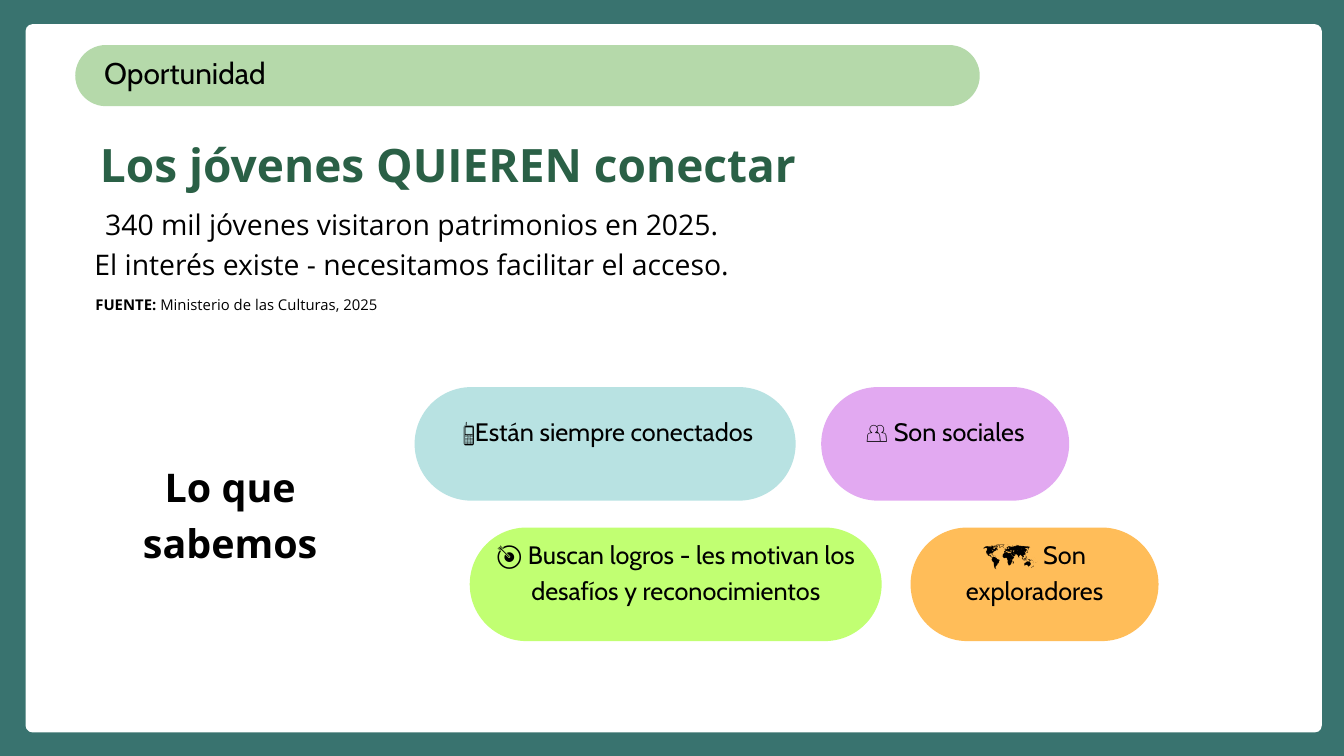
from pptx import Presentation
from pptx.dml.color import RGBColor
from pptx.enum import shapes, text
from pptx.util import Inches, Pt

TEAL = RGBColor(0x39, 0x73, 0x6F)
WHITE = RGBColor(0xFF, 0xFF, 0xFF)
BLACK = RGBColor(0, 0, 0)
SAGE = RGBColor(0xB5, 0xD9, 0xAA)
FOREST = RGBColor(0x2A, 0x60, 0x46)
AQUA = RGBColor(0xB8, 0xE2, 0xE2)
LILAC = RGBColor(0xE2, 0xA9, 0xF1)
LIME = RGBColor(0xC1, 0xFF, 0x72)
ORANGE = RGBColor(0xFF, 0xBD, 0x59)

CENTER = text.PP_ALIGN.CENTER
PILL_HEIGHT = 1.69
LABEL_RISE = 0.43
FACTS = [
    (6.17, 5.76, 5.67, AQUA, " 📱Están siempre conectados"),
    (12.22, 5.76, 3.69, LILAC, "👥 Son sociales"),
    (6.99, 7.85, 6.13, LIME, "🎯 Buscan logros - les motivan los desafíos y reconocimientos"),
    (13.55, 7.85, 3.69, ORANGE, "🗺️ Son exploradores"),
]


def add_rounded(page, left, top, width, height, color, roundness=0.5):
    """Add a flat rounded rectangle without an outline."""
    shape = page.shapes.add_shape(
        shapes.MSO_SHAPE.ROUNDED_RECTANGLE,
        Inches(left), Inches(top), Inches(width), Inches(height))
    shape.adjustments[0] = roundness
    shape.shadow.inherit = False
    shape.fill.solid()
    shape.fill.fore_color.rgb = color
    shape.line.fill.background()


def add_text(page, left, top, width, height, spans, size, leading, font="Open Sans",
             color=BLACK, align=CENTER, anchor=text.MSO_ANCHOR.TOP, margin=0):
    """Add a one-paragraph text box from (wording, bold) spans."""
    box = page.shapes.add_textbox(Inches(left), Inches(top), Inches(width), Inches(height))
    frame = box.text_frame
    frame.word_wrap = True
    frame.vertical_anchor = anchor
    frame.margin_left = frame.margin_right = Inches(margin)
    frame.margin_top = frame.margin_bottom = Inches(margin)
    para = frame.paragraphs[0]
    para.alignment = align
    para.line_spacing = Pt(leading)
    for wording, bold in spans:
        span = para.add_run()
        span.text = wording
        span.font.name = font
        span.font.size = Pt(size)
        span.font.bold = bold
        span.font.color.rgb = color


def add_banner(page, left, top, width, height):
    """Add the section banner with its name."""
    add_rounded(page, left, top, width, height, SAGE)
    add_text(page, left + 0.43, top + 0.05, 12.45, 0.67, [("Oportunidad", False)],
             32, 44.8, font="Cabin", align=text.PP_ALIGN.LEFT)


def add_message(page, left, top):
    """Add the headline, its evidence and the source line."""
    add_text(page, left + 0.21, top, 11.1, 0.92,
             [("Los jóvenes QUIEREN conectar", True)], 49.3, 69.1, color=FOREST)
    add_text(page, left + 0.45, top + 1.11, 9.54, 1.15,
             [("340 mil jóvenes visitaron patrimonios en 2025. "
               "El interés existe - necesitamos facilitar el acceso.", False)], 30.4, 42.5)
    add_text(page, left, top + 2.47, 5.22, 0.29,
             [("FUENTE:", True), (" Ministerio de las Culturas, 2025", False)], 15.9, 22.3)


def add_fact(page, left, top, width, color, wording):
    """Add one coloured pill with its label set slightly high."""
    add_rounded(page, left, top, width, PILL_HEIGHT, color)
    add_text(page, left, top - LABEL_RISE, width, PILL_HEIGHT + LABEL_RISE,
             [(wording, False)], 27, 37.8, font="Cabin",
             anchor=text.MSO_ANCHOR.MIDDLE, margin=0.06)


def main():
    """Build the opportunity slide and save the deck."""
    deck = Presentation()
    deck.slide_width, deck.slide_height = Inches(20), Inches(11.25)
    page = deck.slides.add_slide(deck.slide_layouts[6])
    page.background.fill.solid()
    page.background.fill.fore_color.rgb = TEAL
    add_rounded(page, 0.38, 0.36, 19.29, 10.54, WHITE, 0.01)
    add_banner(page, 1.12, 0.67, 13.46, 0.91)
    for fact in FACTS:
        add_fact(page, *fact)
    add_message(page, 0.91, 1.89)
    add_text(page, 1.12, 6.78, 4.61, 1.59, [("Lo que sabemos", True)], 42.3, 59.2)
    deck.save("out.pptx")


if __name__ == "__main__":
    main()
